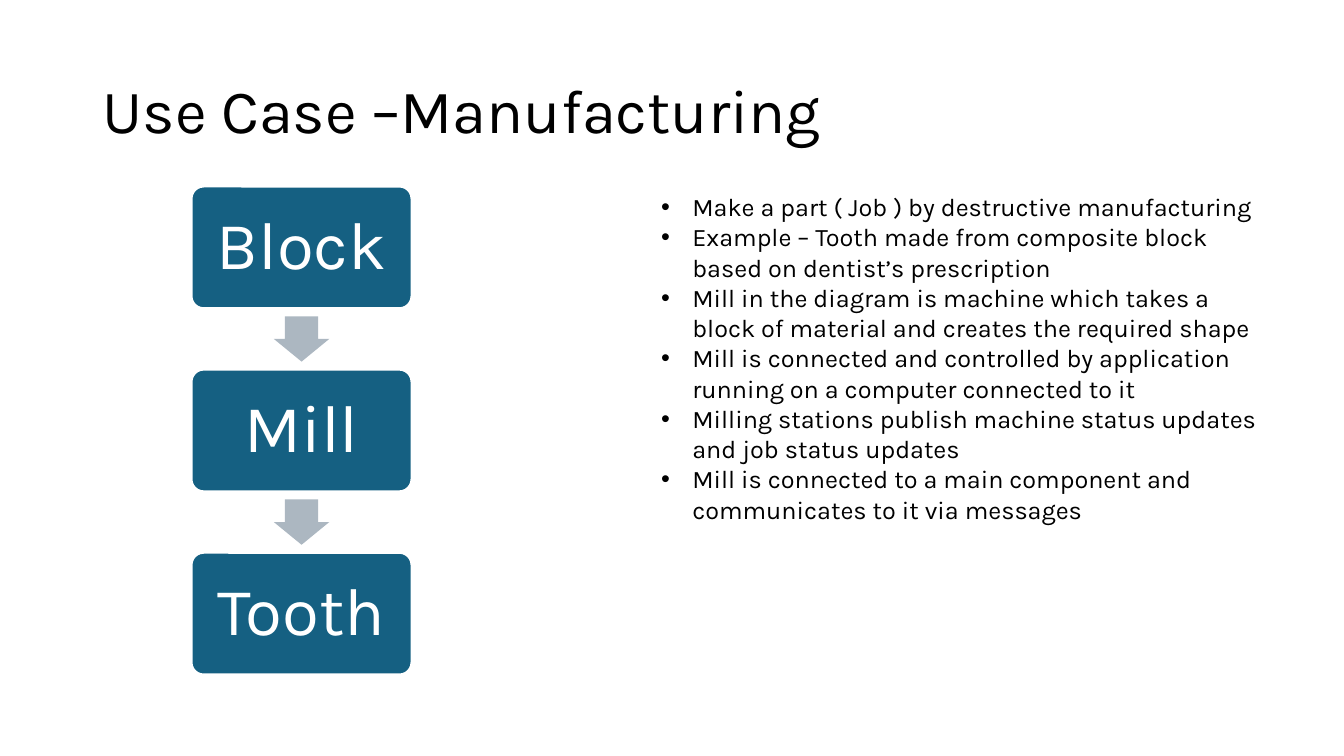
"""Build the manufacturing use case slide: a milling flow beside a bullet list."""
from pptx import Presentation
from pptx.dml.color import RGBColor
from pptx.enum.shapes import MSO_SHAPE
from pptx.enum.text import MSO_ANCHOR, MSO_AUTO_SIZE, PP_ALIGN
from pptx.util import Inches, Pt

COLORS = {"text": "000000", "step": "156082", "arrow": "ACB7C1", "white": "FFFFFF"}
STAGES = ["Block", "Mill", "Tooth"]
POINTS = [
    "Make a part ( Job ) by destructive manufacturing",
    "Example – Tooth made from composite block based on dentist’s prescription",
    "Mill in the diagram is machine which takes a block of material and creates the required shape",
    "Mill is connected and controlled by application running on a computer connected to it",
    "Milling stations publish machine status updates and job status updates",
    "Mill is connected to a main component and communicates to it via messages",
]


class SlideBuilder:
    """Place styled elements on a slide by a grid of 160 columns and 90 rows."""

    font_name = "Karla"
    columns, rows = 160, 90

    def __init__(self, deck):
        self.deck = deck
        self.page = deck.slides.add_slide(deck.slide_layouts[1])

    def area(self, left, top, width, height):
        column = self.deck.slide_width / self.columns
        row = self.deck.slide_height / self.rows
        return [round(left * column), round(top * row), round(width * column), round(height * row)]

    def move(self, holder, place):
        holder.left, holder.top, holder.width, holder.height = self.area(*place)

    def style(self, para, size, color, align=PP_ALIGN.LEFT, spacing=1.0):
        para.alignment = align
        para.line_spacing = spacing
        para.space_before = Pt(0)
        para.font.name = self.font_name
        para.font.size = Pt(size)
        para.font.color.rgb = RGBColor.from_string(COLORS[color])

    def title(self, text, place):
        holder = self.page.shapes.title
        self.move(holder, place)
        frame = holder.text_frame
        frame.text = text
        frame.vertical_anchor = MSO_ANCHOR.MIDDLE
        frame.auto_size = MSO_AUTO_SIZE.NONE
        self.style(frame.paragraphs[0], 44, "text", spacing=0.9)

    def bullets(self, points, place):
        holder = self.page.placeholders[1]
        self.move(holder, place)
        frame = holder.text_frame
        frame.text = "\n".join(points)
        frame.auto_size = MSO_AUTO_SIZE.SHAPE_TO_FIT_TEXT
        indent = Inches(0.31)
        for para in frame.paragraphs:
            self.style(para, 18, "text")
            properties = para._p.get_or_add_pPr()
            properties.set("marL", str(indent))
            properties.set("indent", str(-indent))

    def shape(self, kind, place, color, adjustments):
        shape = self.page.shapes.add_shape(kind, *self.area(*place))
        shape.shadow.inherit = False
        shape.fill.solid()
        shape.fill.fore_color.rgb = RGBColor.from_string(COLORS[color])
        for index, value in enumerate(adjustments):
            shape.adjustments[index] = value
        return shape

    def step(self, text, place):
        box = self.shape(MSO_SHAPE.ROUNDED_RECTANGLE, place, "step", [0.1])
        box.line.color.rgb = RGBColor.from_string(COLORS["white"])
        box.line.width = Pt(1.5)
        frame = box.text_frame
        frame.text = text
        frame.word_wrap = True
        frame.vertical_anchor = MSO_ANCHOR.MIDDLE
        frame.margin_left = frame.margin_right = Inches(0.2)
        frame.margin_top = frame.margin_bottom = Inches(0.2)
        self.style(frame.paragraphs[0], 48, "white", PP_ALIGN.CENTER, 0.9)

    def down_arrow(self, center, middle):
        length, breadth = 5.4, 6.6
        place = (center - length / 2, middle - breadth / 2, length, breadth)
        arrow = self.shape(MSO_SHAPE.RIGHT_ARROW, place, "arrow", [0.6, 0.5])
        arrow.rotation = 90
        arrow.line.fill.background()

    def flow(self, stages, left, top, width, height, gap):
        for index, stage in enumerate(stages):
            step_top = top + index * (height + gap)
            if index:
                self.down_arrow(left + width / 2, step_top - gap / 2)
            self.step(stage, (left, step_top, width, height))


def main():
    deck = Presentation()
    deck.slide_width, deck.slide_height = Inches(13.33), Inches(7.5)
    builder = SlideBuilder(deck)
    builder.title("Use Case –Manufacturing", (11, 4.8, 138, 17.4))
    builder.bullets(POINTS, (77.5, 22.2, 74.3, 41.2))
    builder.flow(STAGES, left=22.8, top=22.2, width=26.2, height=14.5, gap=7.3)
    deck.save("out.pptx")


if __name__ == "__main__":
    main()
